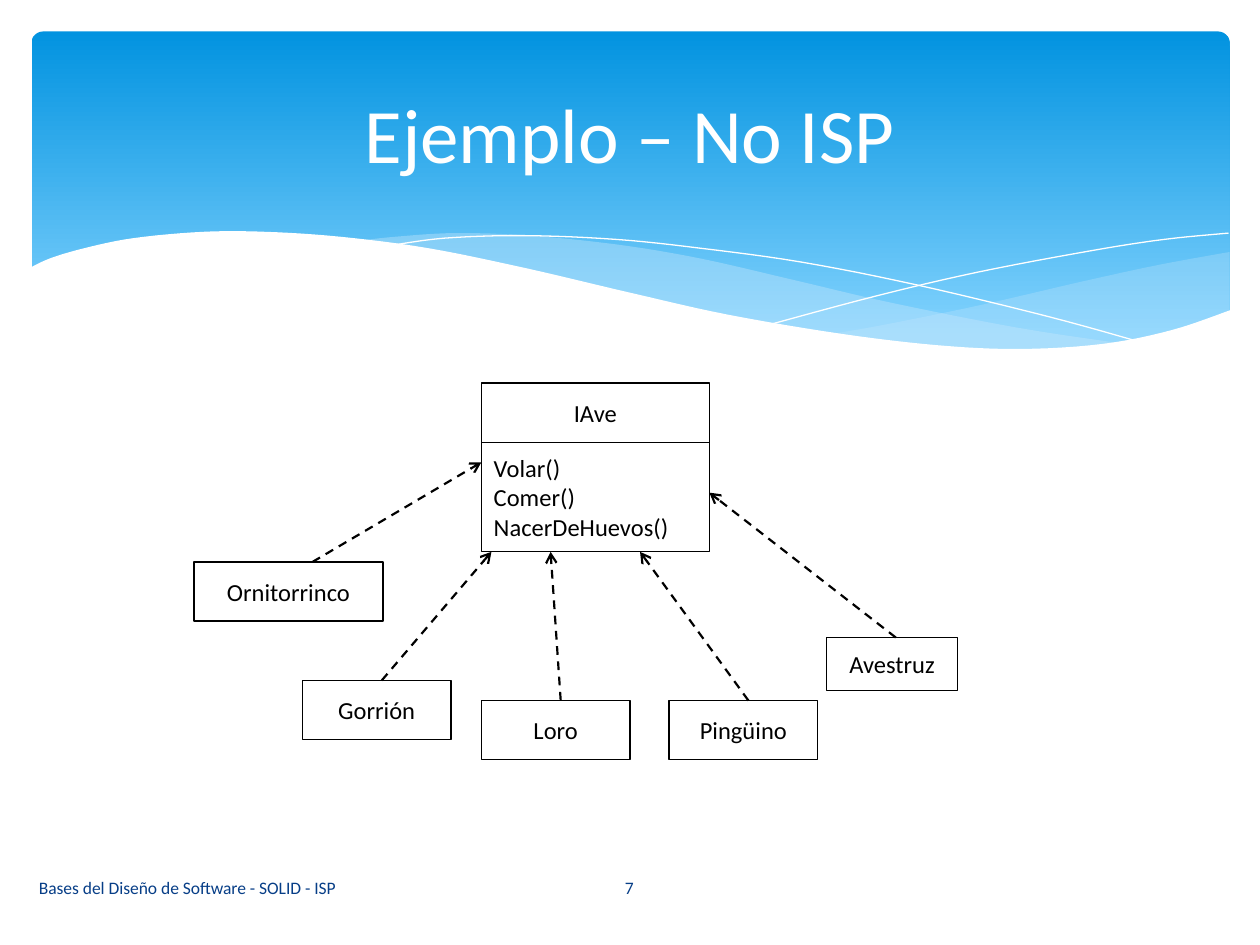
from lxml.etree import SubElement
from pptx import Presentation
from pptx.dml.color import RGBColor
from pptx.enum.dml import MSO_LINE
from pptx.enum.shapes import MSO_CONNECTOR, MSO_SHAPE
from pptx.enum.text import MSO_ANCHOR, PP_ALIGN
from pptx.oxml.ns import qn
from pptx.util import Inches, Pt

COLORS = {
    "sky_top": "0293E0", "sky_bottom": "83D3FE", "wave": "C6E7FC",
    "white": "FFFFFF", "ink": "000000", "footer": "073E87",
}
COLORS = {name: RGBColor.from_string(value) for name, value in COLORS.items()}


def smooth(knots, steps=6):
    """Return points in EMU on a Catmull-Rom curve through the knots."""
    padded = [knots[0], *knots, knots[-1]]
    points = []
    for a, b, c, d in zip(padded, padded[1:], padded[2:], padded[3:]):
        for step in range(steps):
            t = step / steps
            points.append(tuple(
                Inches(0.5 * (2 * q + (r - p) * t + (2 * p - 5 * q + 4 * r - s) * t**2
                              + (3 * q - p - 3 * r + s) * t**3))
                for p, q, r, s in zip(a, b, c, d)))
    return points + [(Inches(knots[-1][0]), Inches(knots[-1][1]))]


def write(shape, lines, size, color, align=PP_ALIGN.CENTER):
    frame = shape.text_frame
    frame.word_wrap = True
    frame.vertical_anchor = MSO_ANCHOR.MIDDLE
    for index, line in enumerate(lines):
        para = frame.add_paragraph() if index else frame.paragraphs[0]
        para.alignment = align
        span = para.add_run()
        span.text = line
        span.font.name = "Calibri"
        span.font.size = Pt(size)
        span.font.color.rgb = COLORS[color]


deck = Presentation()
deck.slide_width, deck.slide_height = Inches(10), Inches(7.5)
page = deck.slides.add_slide(deck.slide_layouts[5])
shapes = page.shapes

# Banner with a vertical gradient
banner = shapes.add_shape(MSO_SHAPE.ROUNDED_RECTANGLE, Inches(0.25), Inches(0.25),
                          Inches(9.51), Inches(2.7))
banner.adjustments[0] = 0.034
banner.shadow.inherit = False
banner.line.fill.background()
banner.fill.gradient()
banner.fill.gradient_angle = 270
for stop, color, position in zip(banner.fill.gradient_stops,
                                 ("sky_top", "sky_bottom"), (0, 0.9)):
    stop.color.rgb = COLORS[color]
    stop.position = position

# Waves: each outline is a list of smooth edges; no opacity means a line only
right_wave = [
    [(9.76, 2), (9.21, 2.1), (8.61, 2.23), (7.79, 2.42), (7.06, 2.57), (6.61, 2.65)],
    [(6.61, 2.65), (7.19, 2.72), (7.69, 2.77), (8.14, 2.78), (8.63, 2.75),
     (9.13, 2.67), (9.49, 2.57), (9.76, 2.47)],
]
long_wave = [
    [(8.93, 2.73), (8.07, 2.6), (7.06, 2.4), (6.29, 2.22), (5.55, 2.05), (4.89, 1.94),
     (4.2, 1.87), (3.61, 1.85), (3.13, 1.88), (2.86, 1.91)],
    [(2.86, 1.91), (3.62, 2.03), (4.49, 2.22), (5.3, 2.4), (6.01, 2.55), (6.8, 2.68),
     (7.48, 2.76), (8.07, 2.78), (8.57, 2.77), (8.93, 2.73)],
]
falling_line = [[(3.09, 1.95), (3.53, 1.89), (4.16, 1.87), (4.89, 1.9), (5.56, 1.97),
                 (6.36, 2.08), (7.27, 2.26), (8.31, 2.51), (9.07, 2.72)]]
rising_line = [[(6.13, 2.57), (6.95, 2.35), (7.76, 2.16), (8.66, 1.99),
                (9.24, 1.9), (9.75, 1.85)]]
white_wave = [
    [(9.77, 2.46), (9.3, 2.62), (8.75, 2.73), (8.09, 2.77), (7.44, 2.74), (6.68, 2.65),
     (5.79, 2.5), (5.03, 2.33), (4.18, 2.13), (3.4, 1.97), (2.71, 1.88), (2.11, 1.84),
     (1.61, 1.84), (1.06, 1.89), (0.67, 1.97), (0.4, 2.05), (0.23, 2.13)],
    [(0.23, 3.29)], [(9.77, 3.29)],
]
for edges, color, opacity in [
    (right_wave, "wave", 29), (long_wave, "wave", 40),
    (falling_line, "white", None), (rising_line, "white", None),
    (white_wave, "white", 100),
]:
    points = [point for edge in edges for point in smooth(edge)]
    builder = shapes.build_freeform(*points[0])
    builder.add_line_segments(points[1:], close=opacity is not None)
    wave = builder.convert_to_shape()
    wave.shadow.inherit = False
    if opacity is None:
        wave.fill.background()
        wave.line.color.rgb = COLORS[color]
        wave.line.width = Pt(0)
        continue
    wave.line.fill.background()
    wave.fill.solid()
    wave.fill.fore_color.rgb = COLORS[color]
    if opacity < 100:
        tint = wave.element.spPr.find(qn("a:solidFill")).find(qn("a:srgbClr"))
        SubElement(tint, qn("a:alpha"), val=str(opacity * 1000))

# Title, brought in front of the banner
title = shapes.title
title.left, title.top = Inches(0.5), Inches(0.37)
title.width, title.height = Inches(9), Inches(1.37)
write(title, ["Ejemplo – No ISP"], 44, "white")
title.element.getparent().append(title.element)

# Class boxes: lines, left, top, width, height, alignment
center, left_side = PP_ALIGN.CENTER, PP_ALIGN.LEFT
for lines, left, top, width, height, align in [
    (["IAve"], 3.82, 3.04, 1.81, 0.47, center),
    (["Volar()", "Comer()", "NacerDeHuevos()"], 3.82, 3.51, 1.81, 0.87, left_side),
    (["Gorrión"], 2.4, 5.4, 1.18, 0.47, center),
    (["Loro"], 3.82, 5.56, 1.18, 0.47, center),
    (["Pingüino"], 5.31, 5.56, 1.18, 0.47, center),
    (["Avestruz"], 6.56, 5.06, 1.04, 0.42, center),
    (["Ornitorrinco"], 1.54, 4.46, 1.5, 0.47, center),
]:
    box = shapes.add_shape(MSO_SHAPE.RECTANGLE, Inches(left), Inches(top),
                           Inches(width), Inches(height))
    box.shadow.inherit = False
    box.fill.background()
    box.line.color.rgb = COLORS["ink"]
    box.line.width = Pt(0.75)
    write(box, lines, 14, "ink", align)

# Dashed arrows from each bird to the interface
for start_x, start_y, end_x, end_y in [
    (3.03, 5.4, 3.9, 4.38), (4.45, 5.56, 4.37, 4.38), (5.94, 5.56, 5.08, 4.38),
    (7.11, 5.06, 5.63, 3.91), (2.48, 4.46, 3.82, 3.67),
]:
    arrow = shapes.add_connector(MSO_CONNECTOR.STRAIGHT, Inches(start_x), Inches(start_y),
                                 Inches(end_x), Inches(end_y))
    arrow.line.color.rgb = COLORS["ink"]
    arrow.line.width = Pt(1.25)
    arrow.line.dash_style = MSO_LINE.DASH
    SubElement(arrow.line._get_or_add_ln(), qn("a:tailEnd"), type="arrow")
    SubElement(arrow.element.spPr, qn("a:effectLst"))

# Footer and page number
for line, left, width, align in [
    ("Bases del Diseño de Software - SOLID - ISP", 0.21, 4.14, left_side),
    ("7", 4.36, 1.27, center),
]:
    box = shapes.add_textbox(Inches(left), Inches(6.84), Inches(width), Inches(0.4))
    write(box, [line], 10, "footer", align)

deck.save("out.pptx")
